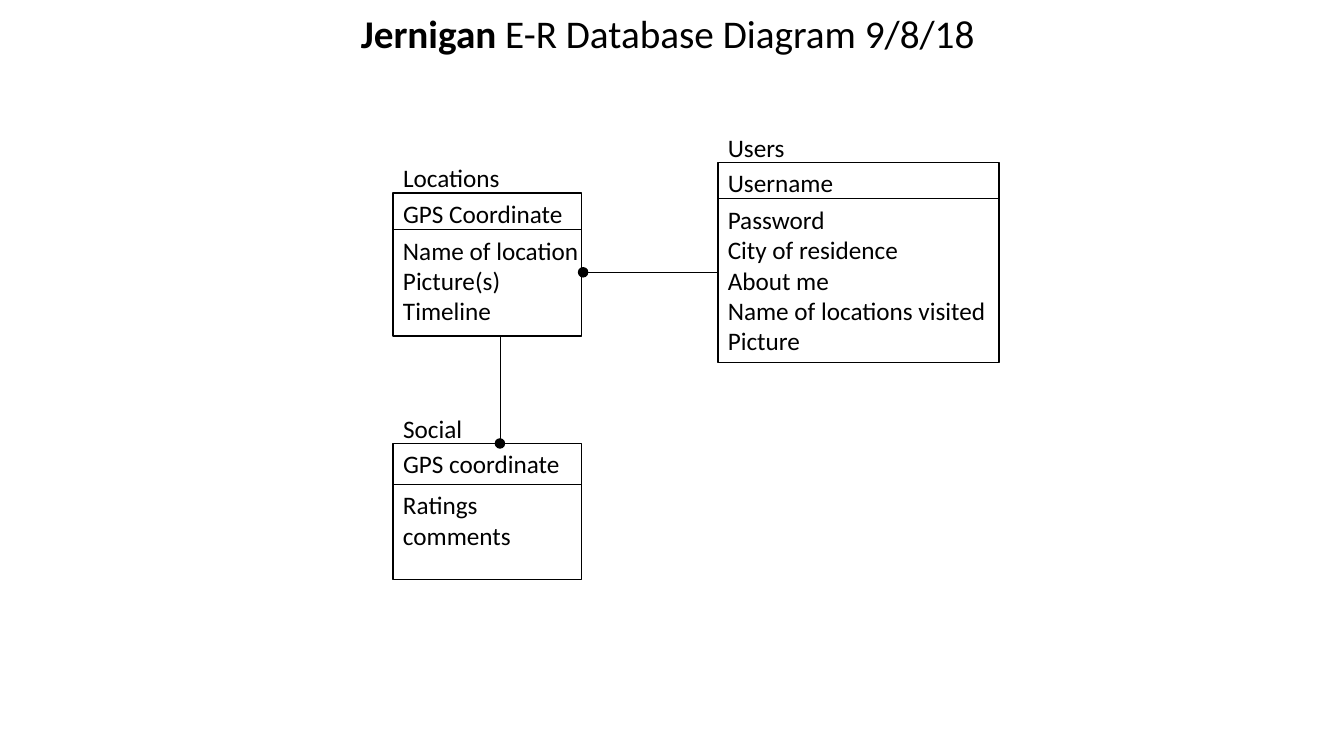
from pptx import Presentation
from pptx.dml.color import RGBColor
from pptx.enum import shapes, text
from pptx.oxml import parse_xml
from pptx.oxml.ns import nsdecls
from pptx.util import Pt

COLORS = {"ink": "000000"}
INK = RGBColor.from_string(COLORS["ink"])
FONT = "Calibri"

prs = Presentation()
prs.slide_width, prs.slide_height = Pt(960), Pt(540)
s = prs.slides.add_slide(prs.slide_layouts[6])


def add_text(lines, x, y, w, h, size=18, wrap=False, align=text.PP_ALIGN.LEFT):
    """Add a text box; each line is a list of (words, bold) runs."""
    tf = s.shapes.add_textbox(Pt(x), Pt(y), Pt(w), Pt(h)).text_frame
    tf.word_wrap = wrap
    tf.auto_size = text.MSO_AUTO_SIZE.SHAPE_TO_FIT_TEXT
    for i, runs in enumerate(lines):
        p = tf.add_paragraph() if i else tf.paragraphs[0]
        p.alignment = align
        for words, bold in runs:
            r = p.add_run()
            r.text = words
            r.font.name, r.font.size, r.font.bold = FONT, Pt(size), bold
            r.font.color.rgb = INK


def add_line(x1, y1, x2, y2):
    """Add a thin straight connector without a shadow."""
    ln = s.shapes.add_connector(shapes.MSO_CONNECTOR.STRAIGHT,
                                Pt(x1), Pt(y1), Pt(x2), Pt(y2))
    ln.line.color.rgb, ln.line.width = INK, Pt(0.5)
    ln._element.spPr.append(parse_xml(f"<a:effectLst {nsdecls('a')}/>"))


add_text([[("Jernigan ", True), ("E-R Database Diagram 9/8/18 ", False)]],
         0, 2.9, 960, 41, size=28, wrap=True, align=text.PP_ALIGN.CENTER)

# name, key, attributes, left, top, width, height, key row height, text width
entities = [
    ("Locations", "GPS Coordinate", ["Name of location", "Picture(s)", "Timeline"],
     280.8, 137.8, 134.6, 102.2, 26, 141),
    ("Users", "Username", ["Password", "City of residence", "About me",
                           "Name of locations visited", "Picture"],
     512.8, 115.9, 200.8, 143, 26, 200.8),
    ("Social", "GPS coordinate", ["Ratings", "comments"],
     280.8, 316.8, 134.6, 97.2, 29, 92),
]
for name, key, attributes, x, y, w, h, key_h, text_w in entities:
    sp = s.shapes.add_shape(shapes.MSO_SHAPE.RECTANGLE, Pt(x), Pt(y), Pt(w), Pt(h))
    sp.shadow.inherit = False
    sp.fill.background()
    sp.line.color.rgb, sp.line.width = INK, Pt(1)
    add_text([[(name, False)]], x, y - 25.2, 84, 29)
    add_text([[(key, False)]], x, y, 129, 29)
    add_line(x, y + key_h, x + w, y + key_h)
    add_text([[(a, False)] for a in attributes],
             x, y + key_h + 0.5, text_w, 7.2 + 21.8 * len(attributes))

# Relationships: each line starts at the dot on its "many" end
dot = 6.5
for x1, y1, x2, y2 in [(416.5, 194.5, 513, 194.5), (357.1, 316.8, 357.1, 240)]:
    add_line(x1, y1, x2, y2)
    sp = s.shapes.add_shape(shapes.MSO_SHAPE.OVAL, Pt(x1 - dot / 2), Pt(y1 - dot / 2),
                            Pt(dot), Pt(dot))
    sp.shadow.inherit = False
    sp.fill.solid()
    sp.fill.fore_color.rgb = INK
    sp.line.color.rgb, sp.line.width = INK, Pt(1)

prs.save("out.pptx")
